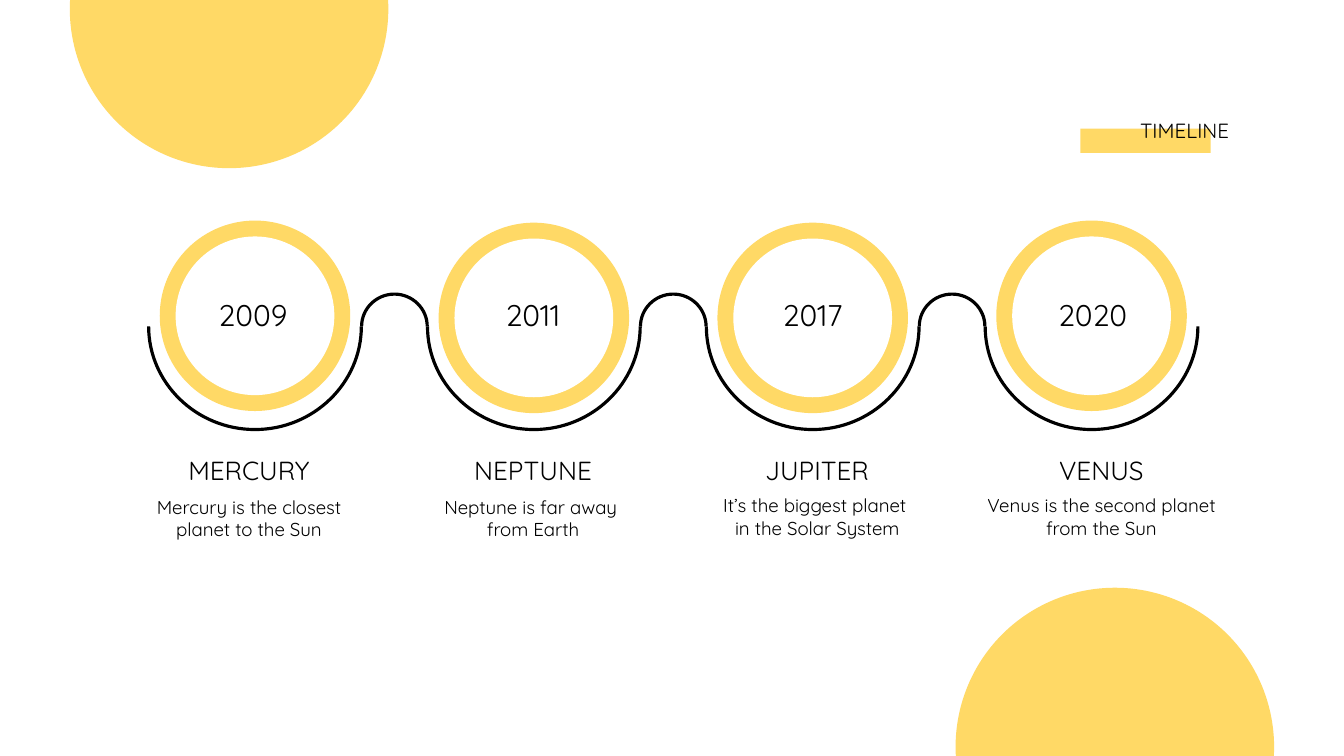
from dataclasses import dataclass

from lxml import etree
from pptx import Presentation
from pptx.dml.color import RGBColor
from pptx.enum.shapes import MSO_SHAPE
from pptx.enum.text import MSO_ANCHOR, MSO_AUTO_SIZE, PP_ALIGN
from pptx.oxml.ns import qn
from pptx.util import Cm, Pt

OVAL, RECT = MSO_SHAPE.OVAL, MSO_SHAPE.RECTANGLE
TOP, BOTTOM = MSO_ANCHOR.TOP, MSO_ANCHOR.BOTTOM
CENTER, RIGHT = PP_ALIGN.CENTER, PP_ALIGN.RIGHT
NO_FIT = MSO_AUTO_SIZE.NONE


@dataclass(frozen=True)
class Theme:
    accent: RGBColor = RGBColor(0xFF, 0xD9, 0x66)
    ink: RGBColor = RGBColor(0, 0, 0)
    paper: RGBColor = RGBColor(0xFF, 0xFF, 0xFF)
    font: str = "Quicksand"
    title: int = 11
    year: int = 16
    heading: int = 14
    body: int = 10


THEME = Theme()
STEP = 5.27
LINE = 0.06
KAPPA = 0.55
EVENTS = [
    ("2009", "MERCURY", "Mercury is the closest planet to the Sun", 0, 4.95),
    ("2011", "NEPTUNE", "Neptune is far away \nfrom Earth", 0.04, 4.95),
    ("2017", "JUPITER", "It’s the biggest planet \nin the Solar System", 0.04, 4.92),
    ("2020", "VENUS", "Venus is the second planet from the Sun", 0, 4.92),
]


def set_attrs(obj, values):
    for name, value in values.items():
        setattr(obj, name, value)


def paint(sp, color):
    sp.fill.solid()
    sp.fill.fore_color.rgb = color
    sp.line.fill.background()
    sp.shadow.inherit = False


def add_solid(s, kind, box, color):
    sp = s.shapes.add_shape(kind, *map(Cm, box))
    paint(sp, color)


def add_disc(s, cx, cy, diameter, color):
    box = (cx - diameter / 2, cy - diameter / 2, diameter, diameter)
    add_solid(s, OVAL, box, color)


def write(sp, text, size, align=CENTER, anchor=BOTTOM):
    tf = sp.text_frame
    margins = dict.fromkeys(
        ("margin_left", "margin_top", "margin_right", "margin_bottom"), Cm(0.25))
    set_attrs(tf, {"word_wrap": True, "auto_size": NO_FIT,
                   "vertical_anchor": anchor, **margins})
    tf.text = text
    for p in tf.paragraphs:
        p.alignment = align
        for r in p.runs:
            set_attrs(r.font, {"name": THEME.font, "size": Pt(size)})
            r.font.color.rgb = THEME.ink


def add_text(s, box, text, size, anchor=BOTTOM):
    write(s.shapes.add_textbox(*map(Cm, box)), text, size, anchor=anchor)


def half_ellipse(cx, cy, rx, ry):
    units = [(-1, 0), (-1, KAPPA), (-KAPPA, 1), (0, 1),
             (KAPPA, 1), (1, KAPPA), (1, 0)]
    return [(Cm(cx + rx * u), Cm(cy + ry * v)) for u, v in units]


def join_curve(segments):
    curve = etree.Element(qn("a:cubicBezTo"))
    segments[0].addprevious(curve)
    for segment in segments:
        curve.append(segment[0])
        segment.getparent().remove(segment)


def add_arc(s, cx, cy, rx, ry, side):
    outer = half_ellipse(cx, cy, rx, side * ry)
    inner = half_ellipse(cx, cy, rx - LINE, side * (ry - LINE))
    points = outer + inner[::-1]
    fb = s.shapes.build_freeform(*points[0])
    fb.add_line_segments(points[1:], close=False)
    sp = fb.convert_to_shape()
    segments = sp._element.xpath(".//a:lnTo")
    outline = segments[0].getparent()
    for start in (0, 3, 7, 10):
        join_curve(segments[start:start + 3])
    etree.SubElement(outline, qn("a:close"))
    paint(sp, THEME.ink)


def add_header(s, box):
    x, y, w, h = box
    add_solid(s, RECT, (x + w - 3.06, y + 0.45, 2.46, 0.46), THEME.accent)
    title = s.shapes.title
    set_attrs(title, dict(zip(("left", "top", "width", "height"), map(Cm, box))))
    write(title, "TIMELINE", THEME.title, RIGHT)
    s.shapes._spTree.append(title._element)


def add_wave(s, box):
    x, y, w, h = box
    base = y + 0.64
    centers = [x + 2.04 + i * STEP for i in range(len(EVENTS))]
    for cx in centers:
        add_arc(s, cx, base, 2.04, h - 0.64, 1)
    for cx in centers[:-1]:
        add_arc(s, cx + STEP / 2, base, 0.65, 0.64, -1)


def add_events(s, box):
    x, y, w, h = box
    for i, (year, name, text, drop, text_top) in enumerate(EVENTS):
        cx = x + 2.54 + i * STEP
        cy = y + 1.8 + drop
        add_disc(s, cx, cy, 3.6, THEME.accent)
        add_disc(s, cx, cy, 3, THEME.paper)
        add_text(s, (x + 0.57 + i * 5.29, y + 1.23, 3.86, 1.14), year, THEME.year)
        left = x + 0.01 + i * 5.37
        add_text(s, (left, y + text_top, 4.83, h - text_top), text, THEME.body, TOP)
        add_text(s, (left, y + 4.51, 4.83, 0.76), name, THEME.heading)


def main():
    prs = Presentation()
    prs.slide_width, prs.slide_height = Cm(25.4), Cm(14.29)
    s = prs.slides.add_slide(prs.slide_layouts[5])
    add_disc(s, 4.33, 0.17, 6.02, THEME.accent)
    add_disc(s, 21.07, 14.12, 6.02, THEME.accent)
    add_header(s, (1.97, 1.98, 21.51, 0.97))
    add_wave(s, (2.78, 5.53, 19.89, 2.62))
    add_events(s, (2.28, 4.17, 20.97, 7.06))
    prs.save("out.pptx")


if __name__ == "__main__":
    main()
